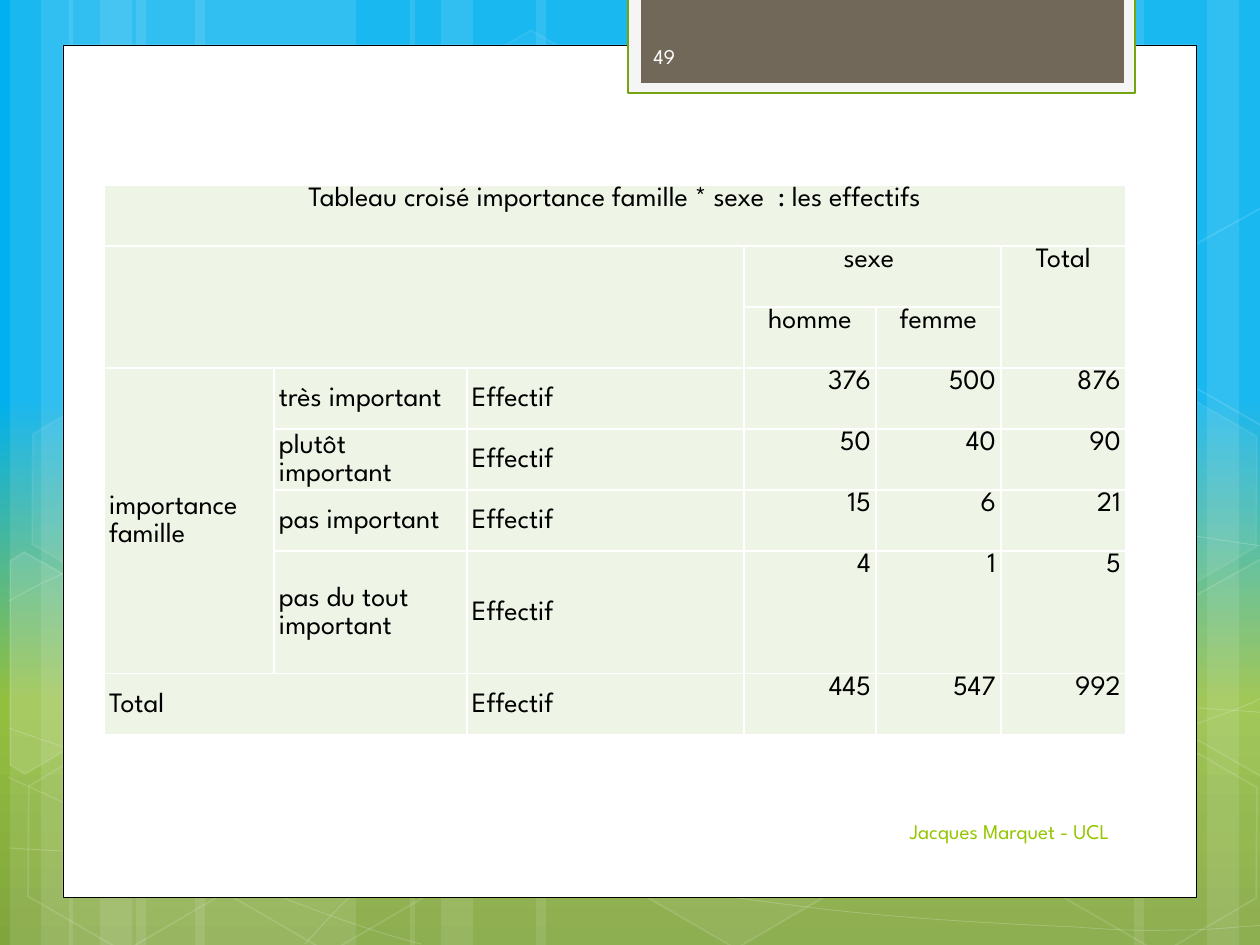
from math import cos, radians, sin
from lxml import etree
from pptx import Presentation
from pptx.dml.color import RGBColor
from pptx.enum.shapes import MSO_SHAPE
from pptx.enum.text import MSO_ANCHOR, PP_ALIGN
from pptx.oxml.ns import qn
from pptx.util import Pt

RECT, HEX = MSO_SHAPE.RECTANGLE, MSO_SHAPE.HEXAGON
LEFT, MID, RIGHT = PP_ALIGN.LEFT, PP_ALIGN.CENTER, PP_ALIGN.RIGHT
TOP, HALF = MSO_ANCHOR.TOP, MSO_ANCHOR.MIDDLE
UNIT = 914400 / 126


class Theme:
    font = "League Spartan"
    white, black, green = "FFFFFF", "000000", "94C600"
    pale, frame, edge, brown, light = "EEF5E7", "F5F5F5", "74A510", "71685A", "FEFEFE"
    sky = [(0, "00B0F0"), (42, "00B0F0"), (74, "93BF3F"), (100, "81A53E")]
    body, small = 16, 12


ROWS = [
    ["Tableau croisé importance famille * sexe  : les effectifs"] + [None] * 5,
    [None, None, None, "sexe ", None, "Total"],
    [None, None, None, "homme", "femme", None],
    ["importance famille", "très important", "Effectif", "376", "500", "876"],
    [None, "plutôt important", "Effectif", "50", "40", "90"],
    [None, "pas important", "Effectif", "15", "6", "21"],
    [None, "pas du tout important", "Effectif", "4", "1", "5"],
    ["Total", None, "Effectif", "445", "547", "992"],
]
SPANS = [(0, 0, 0, 5), (1, 0, 2, 2), (1, 3, 1, 4), (1, 5, 2, 5), (3, 0, 6, 0), (7, 0, 7, 1)]
WIDTHS = [170, 193, 277, 132, 125, 125]
HEIGHTS = [61] * 6 + [123, 61]
HEAD, SIDE = 3, 3

TRIOS = [(136, 220, False), (195, 220, False), (924, 220, True), (536, 388, False)]
CURVES = [
    [(9, 848), (77, 852), (145, 856), (239, 854), (334, 853), (451, 851), (577, 838),
     (703, 825), (882, 801), (998, 777), (1113, 753), (1231, 716), (1269, 694)],
    [(9, 601), (45, 581), (82, 562), (152, 543), (224, 524), (326, 496), (437, 488),
     (549, 480), (685, 478), (824, 488), (963, 498), (1193, 537), (1269, 547)],
    [(8, 777), (160, 847), (311, 916), (421, 944)],
    [(9, 728), (48, 742), (88, 756), (161, 776), (234, 795), (344, 827), (450, 848),
     (554, 869), (687, 892), (791, 905), (896, 919), (1008, 924), (1075, 927),
     (1140, 932), (1158, 930), (1191, 930), (1223, 929), (1246, 926), (1269, 925)],
    [(305, 944), (328, 919), (350, 893), (381, 871), (411, 848), (454, 822), (489, 805),
     (524, 788), (546, 780), (592, 767), (638, 754), (722, 737), (766, 728),
     (811, 719), (818, 719), (857, 717), (896, 713), (958, 709), (1000, 708),
     (1045, 707), (1116, 708), (1116, 708), (1116, 708), (1201, 708), (1201, 708),
     (1223, 710), (1245, 711), (1256, 712), (1268, 713), (1263, 712), (1268, 713)],
]
HEXES = [(421, 45, 4, 8), (626, 742, 6, 12), (14, 745, 0, 12), (18, 393, 7, 8),
         (219, 746, 0, 12), (949, 571, 10, 12), (1051, 747, 0, 12), (1051, 396, 7, 8)]
WEST = [(10, 561), (24, 552), (121, 607), (120, 718), (25, 774), (10, 765)]
EAST = [(1167, 611), (1261, 559), (1271, 562), (1271, 772), (1263, 777), (1167, 722)]
CUTS = [(WEST, 45, 674, 0, 10), (EAST, 1241, 655, 0, 4), (EAST, 1241, 655, -351, 0)]
TILT = 30
PANELS = [
    (63, 45, 1134, 853, Theme.white, Theme.black, 0.5),
    (628, -3, 507, 96, Theme.frame, Theme.edge, 1.25),
    (641, -3, 483, 86, Theme.brown, None, 0),
]
LABELS = [
    ("Jacques Marquet - UCL", (639, 806, 483, 50), Theme.green, RIGHT),
    ("49", (641, 31, 184, 50), Theme.light, LEFT),
]


def px(*nums):
    return [round(n * UNIT) for n in nums]


def ink(fill, node, tone, alpha):
    fill.solid()
    fill.fore_color.rgb = RGBColor.from_string(tone)
    if alpha < 100:
        mark = node().find(qn("a:solidFill")).find(qn("a:srgbClr"))
        etree.SubElement(mark, qn("a:alpha")).set("val", str(alpha * 1000))


def style(shape, fill=None, clear=100, line=None, width=1, fade=100, turn=0):
    props = shape._element.spPr
    shape.shadow.inherit = False
    shape.rotation = turn
    if fill and clear:
        ink(shape.fill, lambda: props, fill, clear)
    else:
        shape.fill.background()
    if line:
        ink(shape.line.fill, lambda: props.find(qn("a:ln")), line, fade)
        shape.line.width = Pt(width)
    else:
        shape.line.fill.background()


def write(frame, words, size=Theme.body, tone=Theme.black, align=LEFT, pad=0, lead=None):
    frame.word_wrap = True
    par = frame.paragraphs[0]
    par.alignment = align
    if pad:
        for side in ("marL", "marR"):
            par._p.get_or_add_pPr().set(side, str(px(pad)[0]))
    if lead:
        par.line_spacing = Pt(lead)
    run = par.add_run()
    run.text = words
    run.font.name, run.font.size = Theme.font, Pt(size)
    run.font.color.rgb = RGBColor.from_string(tone)


def trace(shapes, points, close):
    dots = [px(*p) for p in points]
    pen = shapes.build_freeform(*dots[0], scale=1.0)
    pen.add_line_segments(dots[1:], close=close)
    return pen.convert_to_shape()


def bend(shapes, knots):
    shape = trace(shapes, knots[::3], False)
    legs = list(shape._element.iter(qn("a:lnTo")))
    for i, leg in enumerate(legs):
        leg.tag = qn("a:cubicBezTo")
        for slot, knot in enumerate(knots[3 * i + 1:3 * i + 3]):
            x, y = px(*knot)
            dot = etree.Element(qn("a:pt"), x=str(x - shape.left), y=str(y - shape.top))
            leg.insert(slot, dot)
    return shape


def spin(points, x, y, angle):
    c, s = cos(radians(angle)), sin(radians(angle))
    return [(x + (a - x) * c - (b - y) * s, y + (a - x) * s + (b - y) * c)
            for a, b in points]


def sky(slide):
    slide.background.fill.gradient()
    grad = slide._element.find(".//" + qn("a:gradFill"))
    stops = grad.find(qn("a:gsLst"))
    for old in list(stops):
        stops.remove(old)
    for spot, tone in Theme.sky:
        stop = etree.SubElement(stops, qn("a:gs"), pos=str(spot * 1000))
        etree.SubElement(stop, qn("a:srgbClr"), val=tone)
    grad.find(qn("a:lin")).set("ang", "5400000")


def decor(shapes):
    for x, wide, flip in TRIOS:
        for left, w in ((x, wide), (x - 126, 63), (x - 95, 105)):
            if flip:
                left = 2 * x + wide - left - w
            bar = shapes.add_shape(RECT, *px(left, 0, w, 945))
            style(bar, Theme.white, 10, turn=180 if flip else 0)
    for knots in CURVES:
        style(bend(shapes, knots), line=Theme.white, width=0.5, fade=20)
    for x, y, clear, fade in HEXES:
        cell = shapes.add_shape(HEX, *px(x, y, 220, 192))
        cell.adjustments[0] = 0.285
        style(cell, Theme.white, clear, Theme.white, 1, fade, TILT)
    for points, x, y, drop, clear in CUTS:
        flat = [(a, b + drop) for a, b in spin(points, x, y, -TILT)]
        style(trace(shapes, flat, True), Theme.white, clear, Theme.white, 1, 12, TILT)


def border(cell):
    props = cell._tc.get_or_add_tcPr()
    for side in ("a:lnL", "a:lnR", "a:lnT", "a:lnB"):
        edge = etree.SubElement(props, qn(side), w=str(Pt(1)))
        fill = etree.SubElement(edge, qn("a:solidFill"))
        etree.SubElement(fill, qn("a:srgbClr"), val=Theme.white)


def grid(shapes):
    box = px(104, 185, sum(WIDTHS), sum(HEIGHTS))
    table = shapes.add_table(len(ROWS), len(WIDTHS), *box).table
    table.first_row = table.horz_banding = False
    for col, w in zip(table.columns, px(*WIDTHS)):
        col.width = w
    for row, h in zip(table.rows, px(*HEIGHTS)):
        row.height = h
    for r, row in enumerate(ROWS):
        for c, words in enumerate(row):
            cell = table.cell(r, c)
            border(cell)
            ink(cell.fill, None, Theme.pale, 100)
            cell.margin_left = cell.margin_right = cell.margin_top = cell.margin_bottom = 0
            side = r >= HEAD and c < SIDE
            cell.vertical_anchor = HALF if side else TOP
            if words:
                align = MID if r < HEAD else LEFT if side else RIGHT
                write(cell.text_frame, words, align=align, pad=5, lead=16)
    for top, left, low, right in SPANS:
        table.cell(top, left).merge(table.cell(low, right))


def main():
    deck = Presentation()
    deck.slide_width, deck.slide_height = px(1260, 945)
    slide = deck.slides.add_slide(deck.slide_layouts[6])
    shapes = slide.shapes
    sky(slide)
    decor(shapes)
    for x, y, w, h, fill, line, width in PANELS:
        style(shapes.add_shape(RECT, *px(x, y, w, h)), fill, line=line, width=width)
    for words, box, tone, align in LABELS:
        frame = shapes.add_textbox(*px(*box)).text_frame
        frame.vertical_anchor = HALF
        write(frame, words, size=Theme.small, tone=tone, align=align)
    grid(shapes)
    deck.save("out.pptx")


if __name__ == "__main__":
    main()
